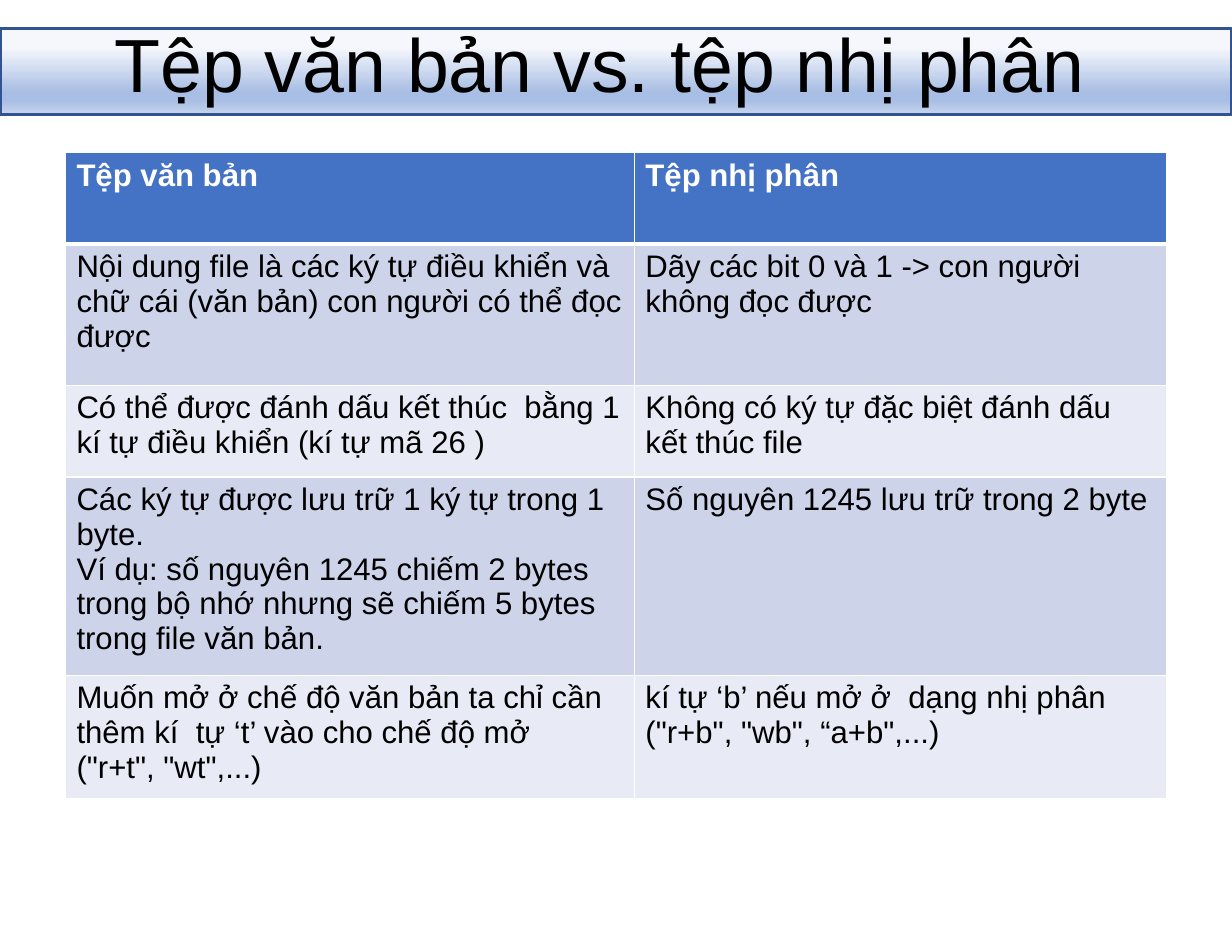
from lxml import etree
from pptx import Presentation, util as u
from pptx.dml.color import RGBColor
from pptx.enum import shapes, text
from pptx.oxml import ns

HUES = {
    "ink": "000000", "white": "FFFFFF", "edge": "31538F", "head": "4472C4",
    "odd": "CDD4EA", "even": "E8EBF5",
    "pale": "F5F7FC", "mid": "A9BEE4", "soft": "C5D3ED",
}
SHADES = [(0, "pale"), (22, "pale"), (74, "mid"), (83, "mid"), (100, "soft")]
COLS = [5.08, 4.75]
ROWS = [
    (0.82, "Tệp văn bản", "Tệp nhị phân"),
    (1.26, "Nội dung file là các ký tự điều khiển và chữ cái (văn bản) con người có thể đọc được",
     "Dãy các bit 0 và 1 -> con người không đọc được"),
    (0.82, "Có thể được đánh dấu kết thúc  bằng 1 kí tự điều khiển (kí tự mã 26 )",
     "Không có ký tự đặc biệt đánh dấu kết thúc file"),
    (1.77, "Các ký tự được lưu trữ 1 ký tự trong 1 byte.\n"
     "Ví dụ: số nguyên 1245 chiếm 2 bytes trong bộ nhớ nhưng sẽ chiếm 5 bytes trong file văn bản.",
     "Số nguyên 1245 lưu trữ trong 2 byte"),
    (1.1, "Muốn mở ở chế độ văn bản ta chỉ cần thêm kí  tự ‘t’ vào cho chế độ mở\n"
     "(\"r+t\", \"wt\",...)",
     "kí tự ‘b’ nếu mở ở  dạng nhị phân\n(\"r+b\", \"wb\", “a+b\",...)"),
]


class Deck:
    """Holds the style and the current slide, and draws each kind of element."""

    def __init__(self, wide, high, face):
        self.prs = Presentation()
        self.prs.slide_width, self.prs.slide_height = u.Inches(wide), u.Inches(high)
        self.wide, self.high, self.face = wide, high, face
        self.page = self.prs.slides.add_slide(self.prs.slide_layouts[6])

    def hue(self, name):
        return RGBColor.from_string(HUES[name])

    def place(self, x, y, w, h):
        return [u.Inches(part * size) for part, size in
                zip((x, y, w, h), (self.wide, self.high) * 2)]

    def label(self, frame, words, size, hue, bold=False):
        frame.text = words
        frame.word_wrap = True
        for para in frame.paragraphs:
            font = para.font
            font.name, font.size, font.bold = self.face, u.Pt(size), bold
            font.color.rgb = self.hue(hue)

    def band(self, box, shades, edge, width):
        bar = self.page.shapes.add_shape(shapes.MSO_SHAPE.RECTANGLE, *self.place(*box))
        bar.shadow.inherit = False
        bar.fill.gradient()
        bar.fill.gradient_angle = 270
        stops = bar._element.spPr.find(ns.qn("a:gradFill")).find(ns.qn("a:gsLst"))
        for old in list(stops):
            stops.remove(old)
        for share, name in shades:
            stop = etree.SubElement(stops, ns.qn("a:gs"), pos=str(share * 1000))
            etree.SubElement(stop, ns.qn("a:srgbClr"), val=HUES[name])
        bar.line.color.rgb, bar.line.width = self.hue(edge), u.Pt(width)

    def title(self, box, words, size):
        frame = self.page.shapes.add_textbox(*self.place(*box)).text_frame
        frame.margin_left = frame.margin_right = frame.margin_bottom = 0
        frame.margin_top = u.Inches(0.01)
        frame.vertical_anchor = text.MSO_ANCHOR.MIDDLE
        self.label(frame, words, size, "ink")
        frame.paragraphs[0].space_before = u.Pt(1)

    def rule(self, cell, side, width):
        line = etree.SubElement(cell._tc.get_or_add_tcPr(), ns.qn(f"a:ln{side}"),
                                w=str(u.Pt(width)))
        fill = etree.SubElement(line, ns.qn("a:solidFill"))
        etree.SubElement(fill, ns.qn("a:srgbClr"), val=HUES["white"])

    def table(self, x, y, cols, rows, size):
        box = self.place(x, y, sum(cols) / self.wide, sum(row[0] for row in rows) / self.high)
        grid = self.page.shapes.add_table(len(rows), len(cols), *box).table
        for col, width in zip(grid.columns, cols):
            col.width = u.Inches(width)
        for r, (height, *cells) in enumerate(rows):
            grid.rows[r].height = u.Inches(height)
            for c, words in enumerate(cells):
                cell = grid.cell(r, c)
                for side in "LRTB":
                    thick = (r, side) in ((0, "B"), (1, "T"))
                    self.rule(cell, side, 3 if thick else 1)
                cell.fill.solid()
                cell.fill.fore_color.rgb = self.hue(
                    "head" if r == 0 else "odd" if r % 2 else "even")
                self.label(cell.text_frame, words, size, "ink" if r else "white", r == 0)


def main():
    deck = Deck(11, 8.5, "Arial")
    deck.band((0, 0.03, 1, 0.09), SHADES, "edge", 2)
    deck.title((0.093, 0.025, 0.8, 0.08), "Tệp văn bản vs. tệp nhị phân", 48.4)
    deck.table(0.053, 0.16, COLS, ROWS, 20)
    deck.prs.save("out.pptx")


if __name__ == "__main__":
    main()
